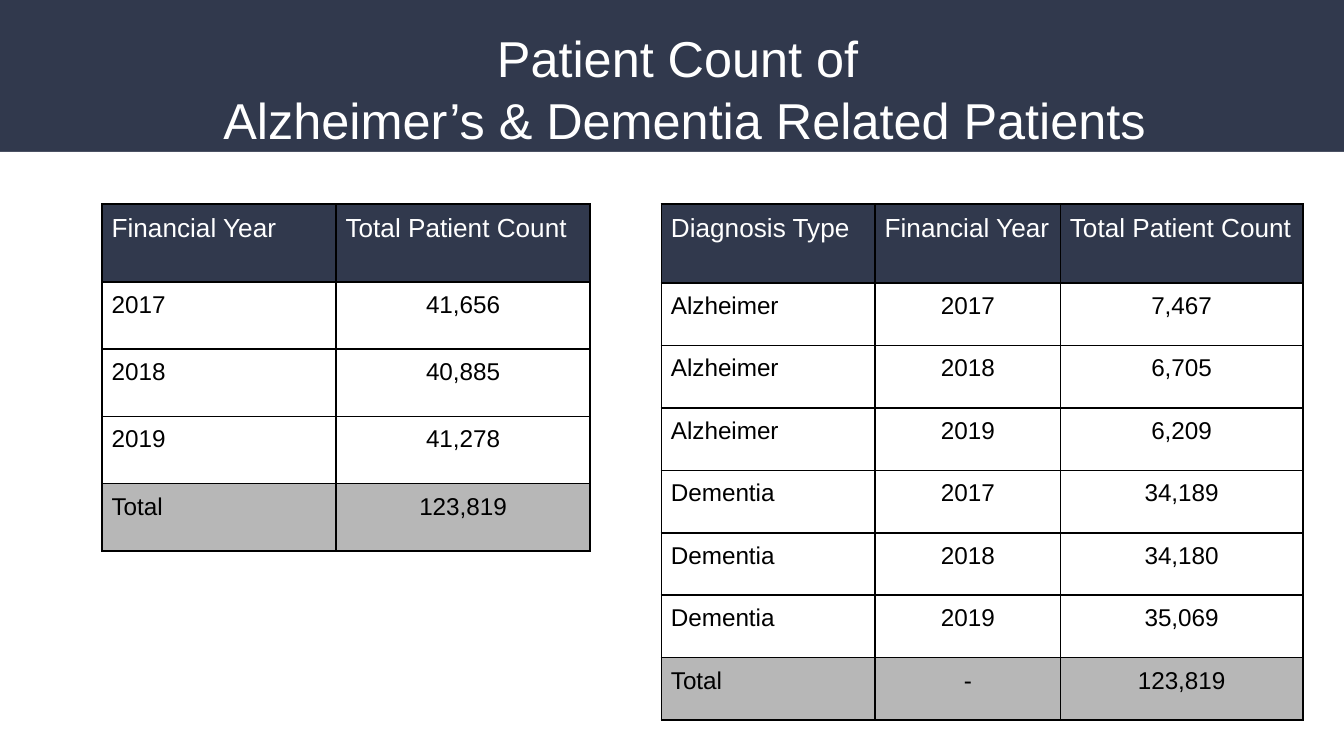
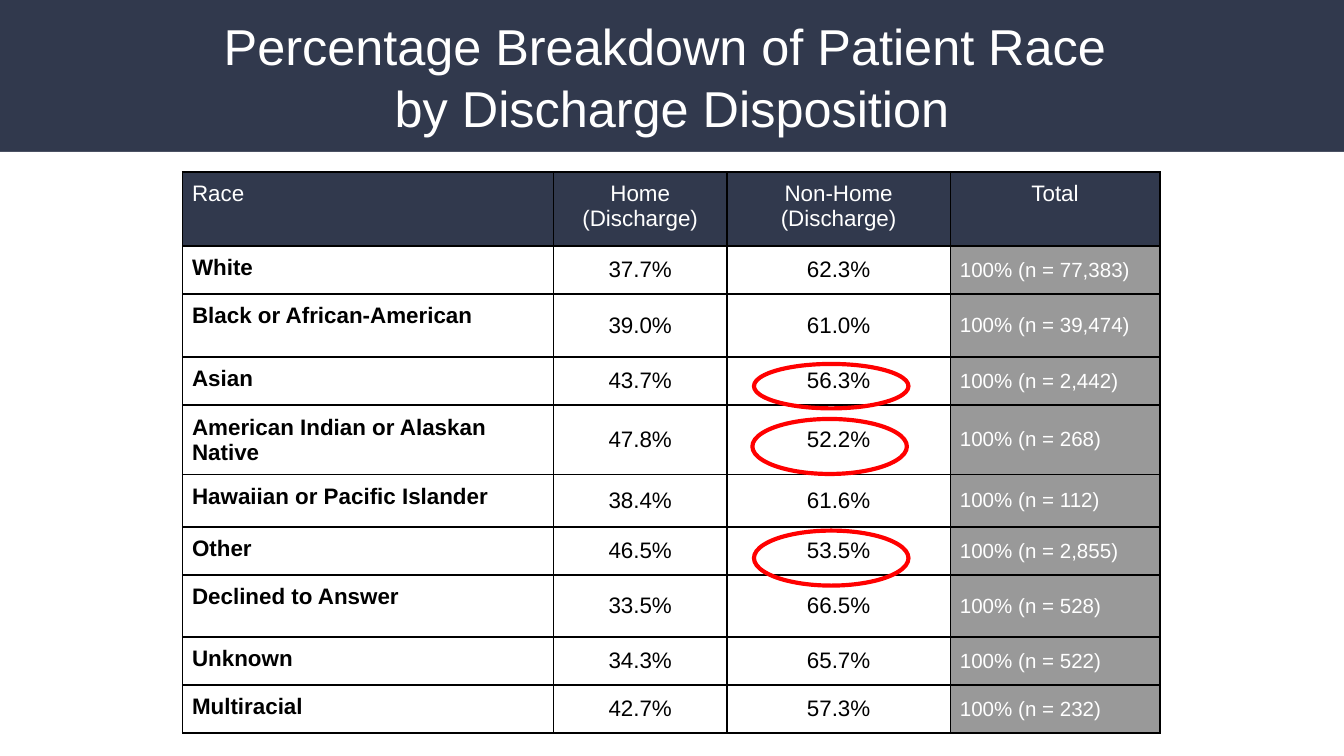
from dataclasses import dataclass, replace

from lxml.etree import SubElement
from pptx import Presentation
from pptx.dml.color import RGBColor
from pptx.enum.shapes import MSO_SHAPE as Preset
from pptx.enum.text import MSO_ANCHOR as Anchor, MSO_AUTO_SIZE as AutoSize, PP_ALIGN as Align
from pptx.oxml.ns import qn
from pptx.util import Cm, Pt

NAVY, WHITE, BLACK, RED = "31394D", "FFFFFF", "000000", "FF0000"
LIGHT_GREY, MID_GREY = "B7B7B7", "999999"
FONT = "Arial"
WIDTH, HEIGHT = 25.4, 14.29
BODY_TOP = 2.87


def rgb(value):
    return RGBColor.from_string(value)


def place(*lengths):
    return [Cm(length) for length in lengths]


@dataclass(frozen=True)
class CellLook:
    size: float
    color: str = BLACK
    align: Align = Align.LEFT
    bold: bool = False
    fill: str = ""
    anchor: Anchor = Anchor.TOP


class Deck:
    def __init__(self):
        self.prs = Presentation()
        self.prs.slide_width, self.prs.slide_height = place(WIDTH, HEIGHT)
        self.layout = self.prs.slide_layouts[5]
        self.slide = None

    def new_slide(self, heading, heading_box, body_height):
        self.slide = self.prs.slides.add_slide(self.layout)
        if len(self.prs.slides) == 1:
            band = self.panel(0, 3.56, NAVY)
            self.layout.shapes.element.insert(2, band.element)
        self.panel(BODY_TOP, body_height, WHITE)
        self.title(heading, heading_box)

    def panel(self, top, height, fill):
        panel = self.slide.shapes.add_shape(Preset.RECTANGLE, *place(0, top, WIDTH, height))
        panel.shadow.inherit = False
        panel.fill.solid()
        panel.fill.fore_color.rgb = rgb(fill)
        panel.line.fill.background()
        return panel

    def title(self, heading, box):
        title = self.slide.shapes.title
        self.slide.shapes.element.append(title.element)
        title.left, title.top, title.width, title.height = place(*box)
        frame = title.text_frame
        frame.text = heading
        frame.word_wrap = True
        frame.auto_size = AutoSize.NONE
        frame.vertical_anchor = Anchor.TOP
        frame.margin_left = frame.margin_right = Cm(0.25)
        frame.margin_top = frame.margin_bottom = Cm(0.25)
        paragraph = frame.paragraphs[0]
        paragraph.alignment = Align.CENTER
        paragraph.line_spacing = 1.03
        self.font(paragraph, 27, WHITE)

    def font(self, paragraph, size, color, bold=False):
        font = paragraph.font
        font.name, font.size, font.bold = FONT, Pt(size), bold
        font.color.rgb = rgb(color)

    def table(self, left, top, widths, heights, rows, looks):
        box = place(left, top, sum(widths), sum(heights))
        table = self.slide.shapes.add_table(len(rows), len(widths), *box).table
        table.first_row = table.horz_banding = False
        for column, width in zip(table.columns, widths):
            column.width = Cm(width)
        for row, height, texts, row_looks in zip(table.rows, heights, rows, looks):
            row.height = Cm(height)
            for cell, text, look in zip(row.cells, texts, row_looks):
                self.cell(cell, text, look)

    def cell(self, cell, text, look):
        cell.text = text
        cell.margin_left = cell.margin_right = Cm(0.18)
        cell.margin_top = cell.margin_bottom = Cm(0.18)
        cell.vertical_anchor = look.anchor
        self.borders(cell)
        if look.fill:
            cell.fill.solid()
            cell.fill.fore_color.rgb = rgb(look.fill)
        else:
            cell.fill.background()
        paragraph = cell.text_frame.paragraphs[0]
        paragraph.alignment = look.align
        self.font(paragraph, look.size, look.color, look.bold)

    def borders(self, cell):
        properties = cell._tc.get_or_add_tcPr()
        for side in ("a:lnL", "a:lnR", "a:lnT", "a:lnB"):
            line = SubElement(properties, qn(side), w=str(Pt(1)))
            fill = SubElement(line, qn("a:solidFill"))
            SubElement(fill, qn("a:srgbClr"), val=BLACK)

    def ring(self, left, top, height):
        ring = self.slide.shapes.add_shape(Preset.OVAL, *place(left, top, 2.92, height))
        ring.shadow.inherit = False
        ring.fill.background()
        ring.line.color.rgb = rgb(RED)
        ring.line.width = Pt(2.25)


def count_table(deck, left, widths, header_height, row_height, rows):
    columns = len(widths)
    header = CellLook(14, WHITE, fill=NAVY)
    label = CellLook(13)
    body = [label] + [replace(label, align=Align.CENTER)] * (columns - 1)
    total = [replace(look, fill=LIGHT_GREY) for look in body]
    looks = [[header] * columns] + [body] * (len(rows) - 2) + [total]
    heights = [header_height] + [row_height] * (len(rows) - 1)
    deck.table(left, 3.86, widths, heights, rows, looks)


def patient_count(deck):
    deck.new_slide("Patient Count of \vAlzheimer’s & Dementia Related Patients",
                   (0.66, 0.23, 24.56, 2.44), 9.6)
    count_table(deck, 1.93, [4.42, 4.8], 1.47, 1.27, [
        ("Financial Year", "Total Patient Count"),
        ("2017", "41,656"),
        ("2018", "40,885"),
        ("2019", "41,278"),
        ("Total", "123,819"),
    ])
    count_table(deck, 12.5, [4.04, 3.5, 4.58], 1.49, 1.18, [
        ("Diagnosis Type", "Financial Year", "Total Patient Count"),
        ("Alzheimer", "2017", "7,467"),
        ("Alzheimer", "2018", "6,705"),
        ("Alzheimer", "2019", "6,209"),
        ("Dementia", "2017", "34,189"),
        ("Dementia", "2018", "34,180"),
        ("Dementia", "2019", "35,069"),
        ("Total", "-", "123,819"),
    ])


def race_breakdown(deck):
    deck.new_slide("Percentage Breakdown of Patient Race \vby Discharge Disposition",
                   (0, 0, WIDTH, 1.4), 11.42)
    rows = [
        ("Race", "Home (Discharge)", "Non-Home (Discharge)", "Total"),
        ("White", "37.7%", "62.3%", "100% (n = 77,383)"),
        ("Black or African-American", "39.0%", "61.0%", "100% (n = 39,474)"),
        ("Asian", "43.7%", "56.3%", "100% (n = 2,442)"),
        ("American Indian or Alaskan Native", "47.8%", "52.2%", "100% (n = 268)"),
        ("Hawaiian or Pacific Islander", "38.4%", "61.6%", "100% (n = 112)"),
        ("Other", "46.5%", "53.5%", "100% (n = 2,855)"),
        ("Declined to Answer", "33.5%", "66.5%", "100% (n = 528)"),
        ("Unknown", "34.3%", "65.7%", "100% (n = 522)"),
        ("Multiracial", "42.7%", "57.3%", "100% (n = 232)"),
    ]
    heights = [1.4, 0.91, 1.19, 0.91, 1.19, 0.99, 0.91, 1.17, 0.91, 0.91]
    header = CellLook(12, WHITE, fill=NAVY)
    share = CellLook(12, align=Align.CENTER, anchor=Anchor.MIDDLE)
    total = CellLook(11, WHITE, fill=MID_GREY, anchor=Anchor.MIDDLE)
    header_row = [header] + [replace(header, align=Align.CENTER)] * 3
    race_row = [CellLook(12, bold=True), share, share, total]
    looks = [header_row] + [race_row] * (len(rows) - 1)
    deck.table(3.45, 3.25, [7.01, 3.28, 4.22, 3.96], heights, rows, looks)
    for left, top, height in [(14.25, 6.88, 0.84), (14.22, 7.92, 1.04), (14.25, 10.03, 1.04)]:
        deck.ring(left, top, height)


def main():
    deck = Deck()
    patient_count(deck)
    race_breakdown(deck)
    deck.prs.save("out.pptx")


if __name__ == "__main__":
    main()
